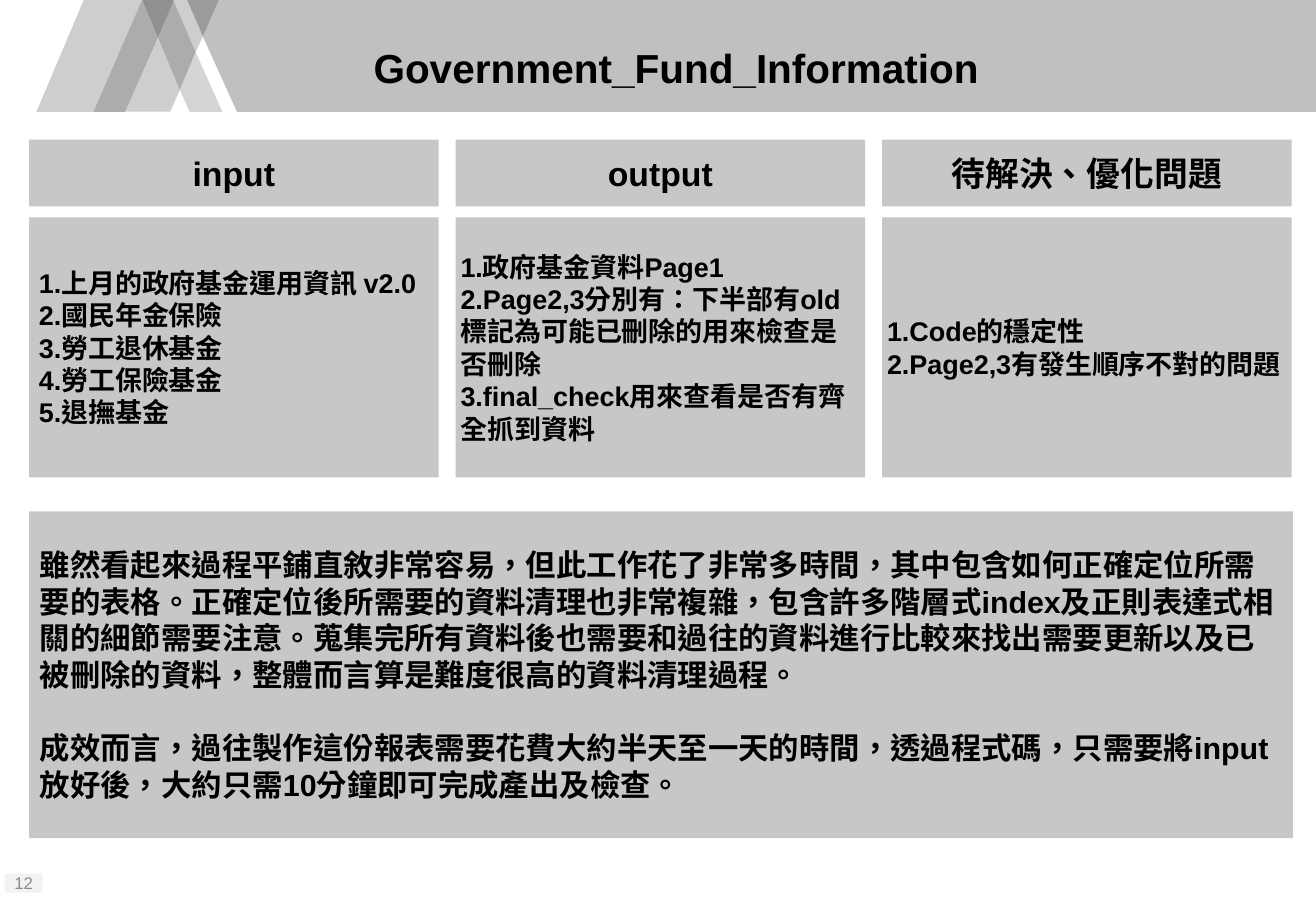
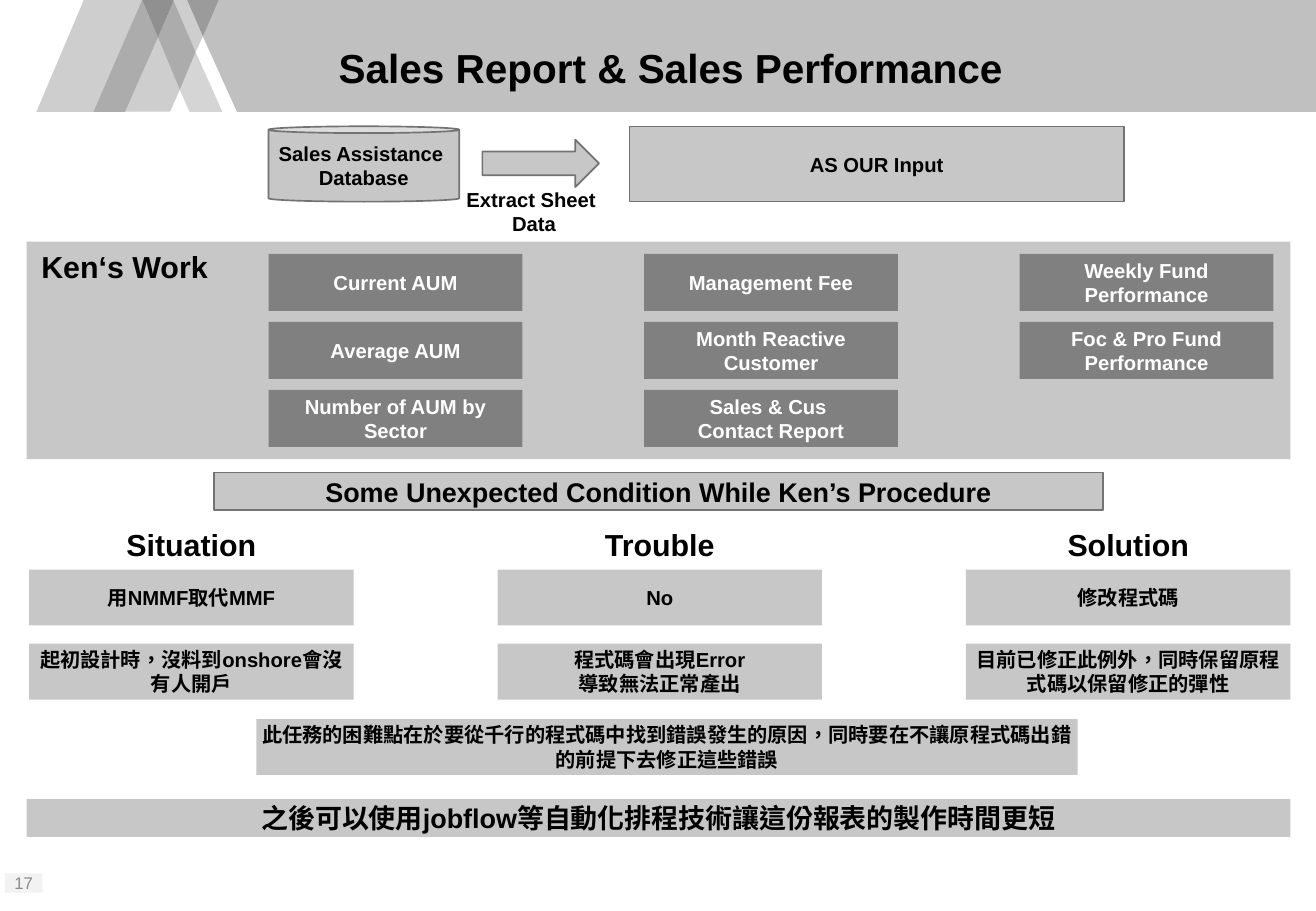
from dataclasses import dataclass
from itertools import product

import pptx
import pptx.dml.color
import pptx.enum.shapes
import pptx.enum.text
import pptx.util

Inches, Pt = pptx.util.Inches, pptx.util.Pt
Kind = pptx.enum.shapes.MSO_SHAPE
Align = pptx.enum.text.PP_ALIGN
Anchor = pptx.enum.text.MSO_ANCHOR


# Theme: every colour and type size
@dataclass(frozen=True)
class Theme:
    font: str = "Arial"
    lang: str = "zh-TW"
    ink: str = "000000"
    white: str = "FFFFFF"
    panel: str = "C7C7C7"
    dark: str = "808080"
    edge: str = "737373"
    badge: str = "F2F2F2"
    faint: str = "8C8C8C"
    title: int = 24
    head: int = 20
    lead: int = 18
    list: int = 16
    body: int = 12
    foot: int = 10


THEME = Theme()


# Insets are left, right, and top with bottom
@dataclass(frozen=True)
class Look:
    size: int = THEME.body
    ink: str = THEME.ink
    fill: str | None = THEME.panel
    line: str | None = None
    bold: bool = True
    align: Align = Align.CENTER
    anchor: Anchor = Anchor.MIDDLE
    inset: tuple[float, float, float] = (0.04, 0.04, 0.04)
    wrap: bool = True
    gap: int = 0


@dataclass(frozen=True)
class Box:
    text: str
    left: float
    top: float
    width: float
    height: float
    look: Look
    kind: Kind = Kind.RECTANGLE


LOOSE = (0.1, 0.1, 0.05)
PLAIN = Look()
EDGED = Look(line=THEME.edge)
TITLE = Look(size=THEME.title, inset=(0, 0, 0))
HEAD = Look(size=THEME.head)
ITEMS = Look(size=THEME.list, align=Align.LEFT, inset=(0.04, 0.02, 0.04))
INSET = Look(size=THEME.list, align=Align.LEFT, inset=(0.08, 0.02, 0.04))
DARK = Look(ink=THEME.white, fill=THEME.dark)
STRIP = Look(size=THEME.list)
BANNER = Look(size=THEME.list, line=THEME.edge)
BADGE = Look(size=THEME.foot, ink=THEME.faint, fill=THEME.badge, bold=False,
             inset=(0.04, 0.04, 0.05))
NOTE = Look(fill=None, anchor=Anchor.TOP, inset=LOOSE)
LABEL = Look(size=THEME.lead, fill=None, anchor=Anchor.TOP, inset=LOOSE,
             wrap=False)
STORY = Look(size=THEME.lead, fill=None, align=Align.LEFT, anchor=Anchor.TOP,
             inset=LOOSE, gap=22)

# Header band: colour and corners in hundredths of an inch
BAND = [
    ("C0C0C0", [(167, 30), (195, 92), (1083, 92), (1083, 0), (179, 0)]),
    ("D5D5D5", [(161, 43), (148, 74), (156, 92), (183, 92)]),
    ("CECECE", [(154, 0), (143, 0), (143, 1), (161, 43), (167, 30)]),
    ("CECECE", [(130, 31), (103, 92), (140, 92), (148, 74)]),
    ("CECECE", [(117, 0), (69, 0), (30, 92), (78, 92)]),
    ("9B9B9B", [(180, 0), (154, 0), (167, 30)]),
    ("ACACAC", [(143, 1), (130, 31), (148, 74), (161, 43)]),
    ("ACACAC", [(117, 0), (77, 92), (103, 92), (130, 31)]),
    ("909090", [(143, 0), (117, 0), (130, 31), (143, 1)]),
]


def set_all(target, values: dict) -> None:
    for name, value in values.items():
        setattr(target, name, value)


def color(code: str):
    return pptx.dml.color.RGBColor.from_string(code)


def paint(shape, fill: str | None, line: str | None = None) -> None:
    shape.shadow.inherit = False
    if fill:
        shape.fill.solid()
        shape.fill.fore_color.rgb = color(fill)
    else:
        shape.fill.background()
    if line:
        shape.line.color.rgb = color(line)
        shape.line.width = Pt(1)
    else:
        shape.line.fill.background()


def write(shape, text: str, look: Look) -> None:
    frame = shape.text_frame
    left, right, edge = map(Inches, look.inset)
    set_all(frame, {"text": text, "word_wrap": look.wrap,
                    "vertical_anchor": look.anchor,
                    "margin_left": left, "margin_right": right,
                    "margin_top": edge, "margin_bottom": edge})
    for index, para in enumerate(frame.paragraphs):
        para.alignment = look.align
        if index and look.gap:
            para.space_before = Pt(look.gap)
        for run in para.runs:
            set_all(run.font, {"name": THEME.font, "size": Pt(look.size),
                               "bold": look.bold})
            run.font.color.rgb = color(look.ink)
    for props in shape.element.xpath(".//a:rPr"):
        props.set("lang", THEME.lang)


def draw(slide, box: Box):
    place = [Inches(n) for n in (box.left, box.top, box.width, box.height)]
    if box.look.fill:
        shape = slide.shapes.add_shape(box.kind, *place)
        paint(shape, box.look.fill, box.look.line)
    else:
        shape = slide.shapes.add_textbox(*place)
    if box.text:
        write(shape, box.text, box.look)
    return shape


def set_band(slide, layout) -> None:
    """Build the band, then hand it to the layout so all slides share it."""
    for index, (fill, points) in enumerate(BAND):
        maker = slide.shapes.build_freeform(*points[0], scale=Inches(0.01))
        maker.add_line_segments(points[1:], close=True)
        shape = maker.convert_to_shape()
        paint(shape, fill)
        shape.element.nvSpPr.cNvPr.set("id", str(100 + index))
        layout.shapes.element.append(shape.element)


def add_page(deck, layout, title: str, number: int):
    slide = deck.slides.add_slide(layout)
    write(slide.shapes.title, title, TITLE)
    draw(slide, Box(str(number), 0.04, 7.19, 0.31, 0.16, BADGE))
    return slide


# Slide 1: three headed lists over a summary
CARDS = [
    ("input", INSET, "1.上月的政府基金運用資訊 v2.0\n2.國民年金保險\n"
                     "3.勞工退休基金\n4.勞工保險基金\n5.退撫基金"),
    ("output", ITEMS, "1.政府基金資料Page1\n"
                      "2.Page2,3分別有：下半部有old標記為可能已刪除的用來檢查是否刪除\n"
                      "3.final_check用來查看是否有齊全抓到資料"),
    ("待解決、優化問題", ITEMS, "1.Code的穩定性\n2.Page2,3有發生順序不對的問題"),
]
SUMMARY = (
    "雖然看起來過程平鋪直敘非常容易，但此工作花了非常多時間，其中包含如何正確定位所需要的表格。"
    "正確定位後所需要的資料清理也非常複雜，包含許多階層式index及正則表達式相關的細節需要注意。"
    "蒐集完所有資料後也需要和過往的資料進行比較來找出需要更新以及已被刪除的資料，"
    "整體而言算是難度很高的資料清理過程。\n"
    "成效而言，過往製作這份報表需要花費大約半天至一天的時間，透過程式碼，"
    "只需要將input放好後，大約只需10分鐘即可完成產出及檢查。"
)


def fill_fund(slide) -> None:
    for col, (head, look, items) in enumerate(CARDS):
        left = 0.24 + 3.51 * col
        draw(slide, Box(head, left, 1.15, 3.37, 0.55, HEAD))
        draw(slide, Box(items, left, 1.79, 3.37, 2.14, look))
    draw(slide, Box("", 0.24, 4.21, 10.4, 2.69, PLAIN))
    draw(slide, Box(SUMMARY, 0.23, 4.45, 10.44, 2.22, STORY))


# Slide 2: data flow, reports and issues
REPORTS = [
    ["Current AUM", "Management Fee", "Weekly Fund Performance"],
    ["Average AUM", "Month Reactive Customer", "Foc & Pro Fund Performance"],
    ["Number of AUM by Sector", "Sales & Cus \nContact Report", ""],
]
ISSUES = [
    ("Situation", "用NMMF取代MMF", "起初設計時，沒料到onshore會沒有人開戶"),
    ("Trouble", "No", "程式碼會出現Error\n導致無法正常產出"),
    ("Solution", "修改程式碼", "目前已修正此例外，同時保留原程式碼以保留修正的彈性"),
]
SALES = [
    Box("Sales Assistance \nDatabase", 2.21, 1.04, 1.57, 0.62, EDGED, Kind.CAN),
    Box("", 3.97, 1.15, 0.96, 0.39, EDGED, Kind.RIGHT_ARROW),
    Box("Extract Sheet \nData", 3.61, 1.49, 1.57, 0.5, NOTE),
    Box("AS OUR Input", 5.18, 1.04, 4.07, 0.62, EDGED),
    Box("", 0.22, 1.99, 10.4, 1.79, PLAIN),
    Box("Ken‘s Work", 0.23, 1.99, 1.59, 0.4, LABEL),
    Box("Some Unexpected Condition While Ken’s Procedure",
        1.76, 3.89, 7.32, 0.31, BANNER),
    Box("此任務的困難點在於要從千行的程式碼中找到錯誤發生的原因，"
        "同時要在不讓原程式碼出錯的前提下去修正這些錯誤",
        2.11, 5.92, 6.76, 0.46, PLAIN),
    Box("之後可以使用jobflow等自動化排程技術讓這份報表的製作時間更短",
        0.22, 6.58, 10.4, 0.31, STRIP),
]


def fill_sales(slide) -> None:
    for box in SALES:
        shape = draw(slide, box)
        if box.kind == Kind.CAN:
            shape.adjustments[0] = 0.09
    for row, col in product(range(3), range(3)):
        if REPORTS[row][col]:
            draw(slide, Box(REPORTS[row][col], 2.21 + 3.09 * col,
                            2.09 + 0.56 * row, 2.09, 0.47, DARK))
    step = (7.95 - 0.24) / 2
    for col, (head, *cells) in enumerate(ISSUES):
        left = 0.24 + step * col
        draw(slide, Box(head, left, 4.28, 2.67, 0.4, LABEL))
        for row, text in enumerate(cells):
            draw(slide, Box(text, left, 4.69 + 0.61 * row, 2.67, 0.46, PLAIN))


def main() -> None:
    deck = pptx.Presentation()
    set_all(deck, {"slide_width": Inches(10.83), "slide_height": Inches(7.5)})
    layout = deck.slide_layouts.get_by_name("Title Only")
    set_all(layout.placeholders[0],
            {"left": Inches(2.1), "top": Inches(0.16),
             "width": Inches(6.93), "height": Inches(0.79)})
    fund = add_page(deck, layout, "Government_Fund_Information", 12)
    set_band(fund, layout)
    fill_fund(fund)
    fill_sales(add_page(deck, layout, "Sales Report & Sales Performance ", 17))
    deck.save("out.pptx")


if __name__ == "__main__":
    main()
